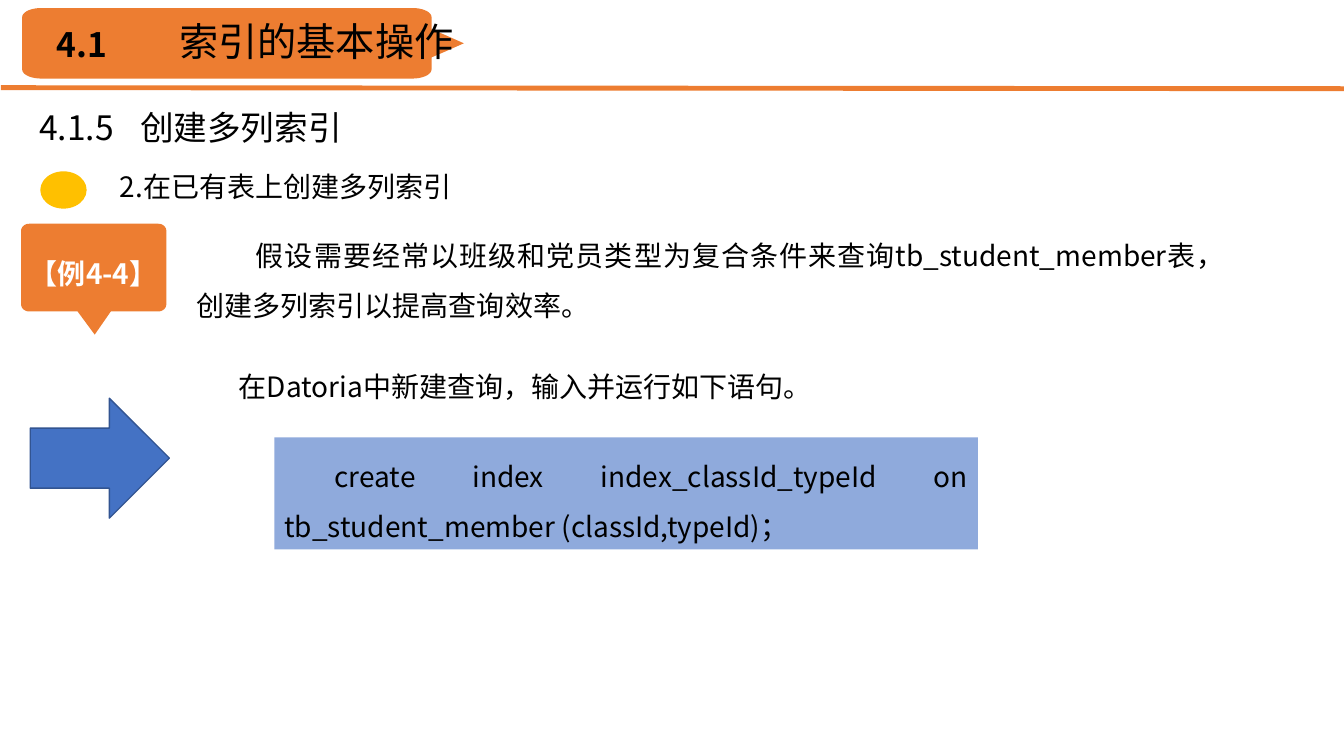
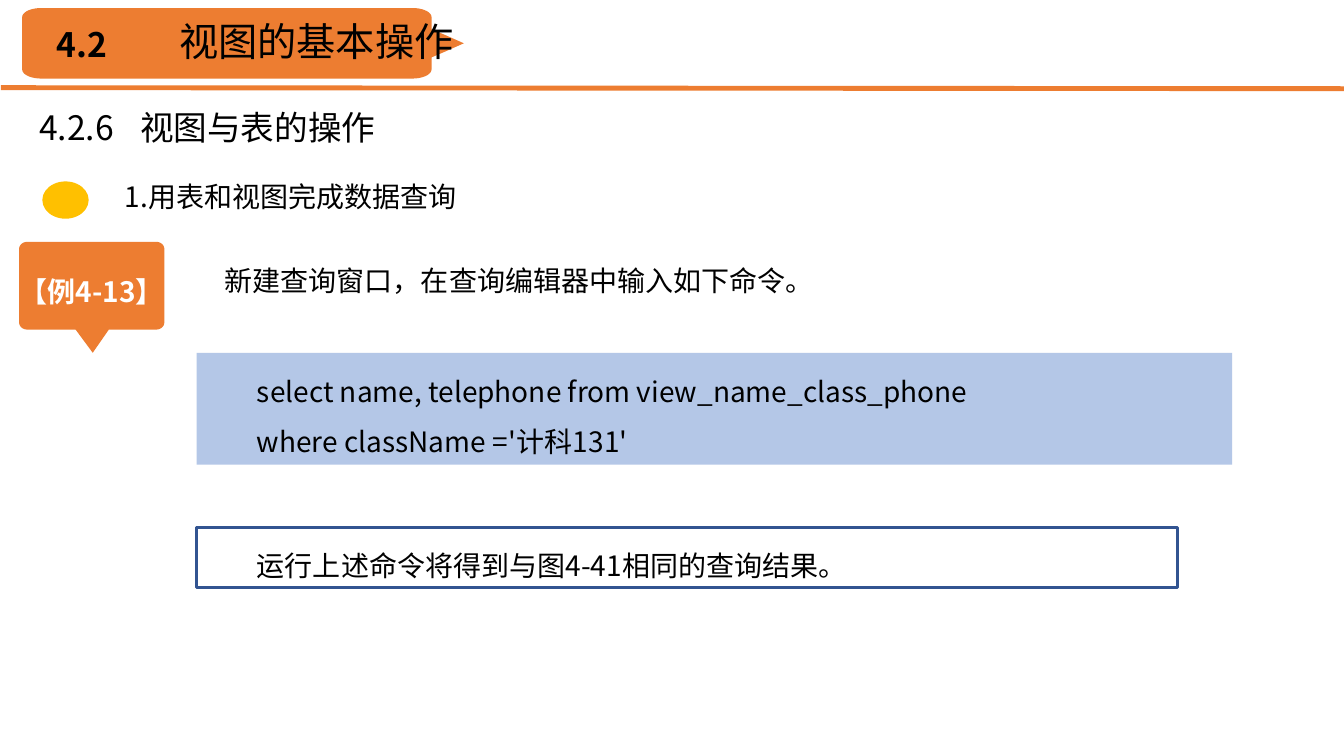
import math

import pptx
import pptx.dml.color
import pptx.enum.shapes
import pptx.enum.text
import pptx.oxml.ns
import pptx.util
from lxml import etree
from pptx.util import Inches

FONT = "Noto Sans CJK SC"
COLORS = {
    "orange": "ED7D31", "gold": "FFC000", "blue": "4472C4", "navy": "325491",
    "code_mid": "8FAADC", "code_light": "B4C7E7", "black": "000000", "white": "FFFFFF",
}
SHAPES = pptx.enum.shapes.MSO_SHAPE
ALIGN = pptx.enum.text.PP_ALIGN
ANCHOR = pptx.enum.text.MSO_ANCHOR

# Boxes are (left, top, width, height) in inches.
SLIDES = [
    {
        "number": "4.1", "title": "索引的基本操作",
        "section": "4.1.5\t创建多列索引", "section_tab": 0.96,
        "topic": "2.在已有表上创建多列索引", "topic_box": (1.09, 1.63, 4.56, 0.44),
        "dot": (0.4, 1.7),
        "example": "【例4-4】", "example_at": (0.21, 2.22),
        "arrow": (0.3, 3.95, 1.38, 1.19),
        "body": [
            {"text": "假设需要经常以班级和党员类型为复合条件来查询tb_student_member表，创建多列索引以提高查询效率。",
             "box": (1.85, 2.15, 10.12, 1.11), "indent": 0.59, "align": ALIGN.JUSTIFY},
            {"text": "在Datoria中新建查询，输入并运行如下语句。",
             "box": (1.68, 3.45, 10.2, 0.6), "indent": 0.59, "align": ALIGN.JUSTIFY},
            {"text": "create index index_classId_typeId on tb_student_member (classId,typeId)；",
             "box": (2.72, 4.34, 6.98, 1.11), "align": ALIGN.JUSTIFY, "fill": "code_mid"},
        ],
    },
    {
        "number": "4.2", "title": "视图的基本操作",
        "section": "4.2.6\t视图与表的操作", "section_tab": 1.05,
        "topic": "1.用表和视图完成数据查询", "topic_box": (1.14, 1.73, 4.56, 0.44),
        "dot": (0.42, 1.8),
        "example": "【例4-13】", "example_at": (0.19, 2.4),
        "body": [
            {"text": "新建查询窗口，在查询编辑器中输入如下命令。", "box": (1.63, 2.4, 9.73, 0.6)},
            {"text": "select name, telephone from view_name_class_phone\nwhere className =\t'计科131'",
             "box": (1.95, 3.5, 10.27, 1.11), "align": ALIGN.JUSTIFY,
             "fill": "code_light", "tab": 3.17},
            {"text": "运行上述命令将得到与图4-41相同的查询结果。",
             "box": (1.95, 5.23, 9.73, 0.6), "line": "navy"},
        ],
    },
]


def rgb(name):
    return pptx.dml.color.RGBColor.from_string(COLORS[name])


def inches(values):
    return [Inches(value) for value in values]


def paint(shape, fill=None, line=None, width=1):
    shape.shadow.inherit = False
    if fill:
        shape.fill.solid()
        shape.fill.fore_color.rgb = rgb(fill)
    else:
        shape.fill.background()
    if line:
        shape.line.color.rgb = rgb(line)
        shape.line.width = pptx.util.Pt(width)
    else:
        shape.line.fill.background()


def set_text(shape, text, size=20, color="black", bold=False, align=ALIGN.LEFT,
             indent=0, spacing=1, tab=None):
    frame = shape.text_frame
    frame.text = text
    frame.word_wrap = True
    for paragraph in frame.paragraphs:
        paragraph.alignment = align
        paragraph.line_spacing = spacing
        properties = paragraph._p.get_or_add_pPr()
        properties.set("marL", "0")
        properties.set("indent", str(Inches(indent)))
        if tab:
            tabs = etree.SubElement(properties, pptx.oxml.ns.qn("a:tabLst"))
            etree.SubElement(tabs, pptx.oxml.ns.qn("a:tab"), pos=str(Inches(tab)), algn="l")
        for run in paragraph.runs:
            run.font.size = pptx.util.Pt(size)
            run.font.bold = bold
            run.font.color.rgb = rgb(color)
            run.font.name = FONT
            etree.SubElement(run._r.get_or_add_rPr(), pptx.oxml.ns.qn("a:ea"), typeface=FONT)


def add_text(slide, box, text, fill=None, line=None, **style):
    """Add a text box, or a rectangle if it has a fill or a line."""
    if fill or line:
        shape = slide.shapes.add_shape(SHAPES.RECTANGLE, *inches(box))
        paint(shape, fill, line, 2.25)
    else:
        shape = slide.shapes.add_textbox(*inches(box))
    set_text(shape, text, **style)
    shape.text_frame.vertical_anchor = ANCHOR.TOP
    shape.text_frame.auto_size = pptx.enum.text.MSO_AUTO_SIZE.SHAPE_TO_FIT_TEXT


def add_rounded_outline(slide, box, radii, right_tip=(), bottom_tip=()):
    """Draw an orange rounded box; tips are extra points on its right or bottom edge."""
    left, top, width, height = box
    radius_x, radius_y = radii
    near_x, far_x = left + radius_x, left + width - radius_x
    near_y, far_y = top + radius_y, top + height - radius_y
    corners = [
        (near_x, near_y, 180, ()), (far_x, near_y, 270, right_tip),
        (far_x, far_y, 0, bottom_tip), (near_x, far_y, 90, ()),
    ]
    points = []
    for center_x, center_y, start, tip in corners:
        for step in range(0, 91, 10):
            angle = math.radians(start + step)
            points.append((center_x + radius_x * math.cos(angle),
                           center_y + radius_y * math.sin(angle)))
        points.extend((left + x, top + y) for x, y in tip)
    points = [tuple(inches(point)) for point in points]
    builder = slide.shapes.build_freeform(*points[0])
    builder.add_line_segments(points[1:], close=True)
    shape = builder.convert_to_shape()
    paint(shape, "orange")
    return shape


def move_header_to_layout(slide):
    """Draw the rule and the banner, then hand them to the layout all slides use."""
    layout = slide.slide_layout
    for placeholder in list(layout.placeholders):
        placeholder.element.getparent().remove(placeholder.element)
    rule = slide.shapes.add_connector(
        pptx.enum.shapes.MSO_CONNECTOR.STRAIGHT, *inches((0.01, 0.87, 13.36, 0.88)))
    rule.line.color.rgb = rgb("orange")
    rule.line.width = pptx.util.Pt(3.5)
    etree.SubElement(rule.element.spPr, pptx.oxml.ns.qn("a:effectLst"))
    banner = add_rounded_outline(
        slide, (0.22, 0.08, 4.06, 0.7), (0.19, 0.09),
        right_tip=[(4.06, 0.21), (4.2, 0.27), (4.38, 0.35), (4.2, 0.43), (4.06, 0.49)])
    for shape in (rule, banner):
        layout.shapes.element.append(shape.element)


def add_example_label(slide, position, text):
    label = add_rounded_outline(
        slide, (*position, 1.44, 0.87), (0.08, 0.07),
        bottom_tip=[(0.89, 0.87), (0.73, 1.1), (0.56, 0.87)])
    set_text(label, text, color="white", bold=True, align=ALIGN.CENTER)
    frame = label.text_frame
    frame.margin_left = frame.margin_right = frame.margin_top = 0
    frame.margin_bottom = Inches(0.12)
    frame.vertical_anchor = ANCHOR.MIDDLE


def fill_slide(slide, content):
    add_text(slide, (0.46, 0.19, 0.95, 0.5), content["number"], size=24, bold=True)
    add_text(slide, (1.68, 0.12, 4.92, 0.57), content["title"], size=28)
    add_text(slide, (0.29, 1.01, 4.92, 0.5), content["section"], size=24,
             tab=content["section_tab"])
    add_text(slide, content["topic_box"], content["topic"])
    dot = slide.shapes.add_shape(SHAPES.OVAL, *inches((*content["dot"], 0.46, 0.37)))
    paint(dot, "gold")
    add_example_label(slide, content["example_at"], content["example"])
    if "arrow" in content:
        arrow = slide.shapes.add_shape(SHAPES.RIGHT_ARROW, *inches(content["arrow"]))
        paint(arrow, "blue", "navy")
    for item in content["body"]:
        add_text(slide, **{"indent": 0.5, "spacing": 1.5, **item})


def main():
    presentation = pptx.Presentation()
    presentation.slide_width = Inches(13.33)
    presentation.slide_height = Inches(7.5)
    blank = presentation.slide_layouts[6]
    for index, content in enumerate(SLIDES):
        slide = presentation.slides.add_slide(blank)
        if index == 0:
            move_header_to_layout(slide)
        fill_slide(slide, content)
    presentation.save("out.pptx")


if __name__ == "__main__":
    main()
